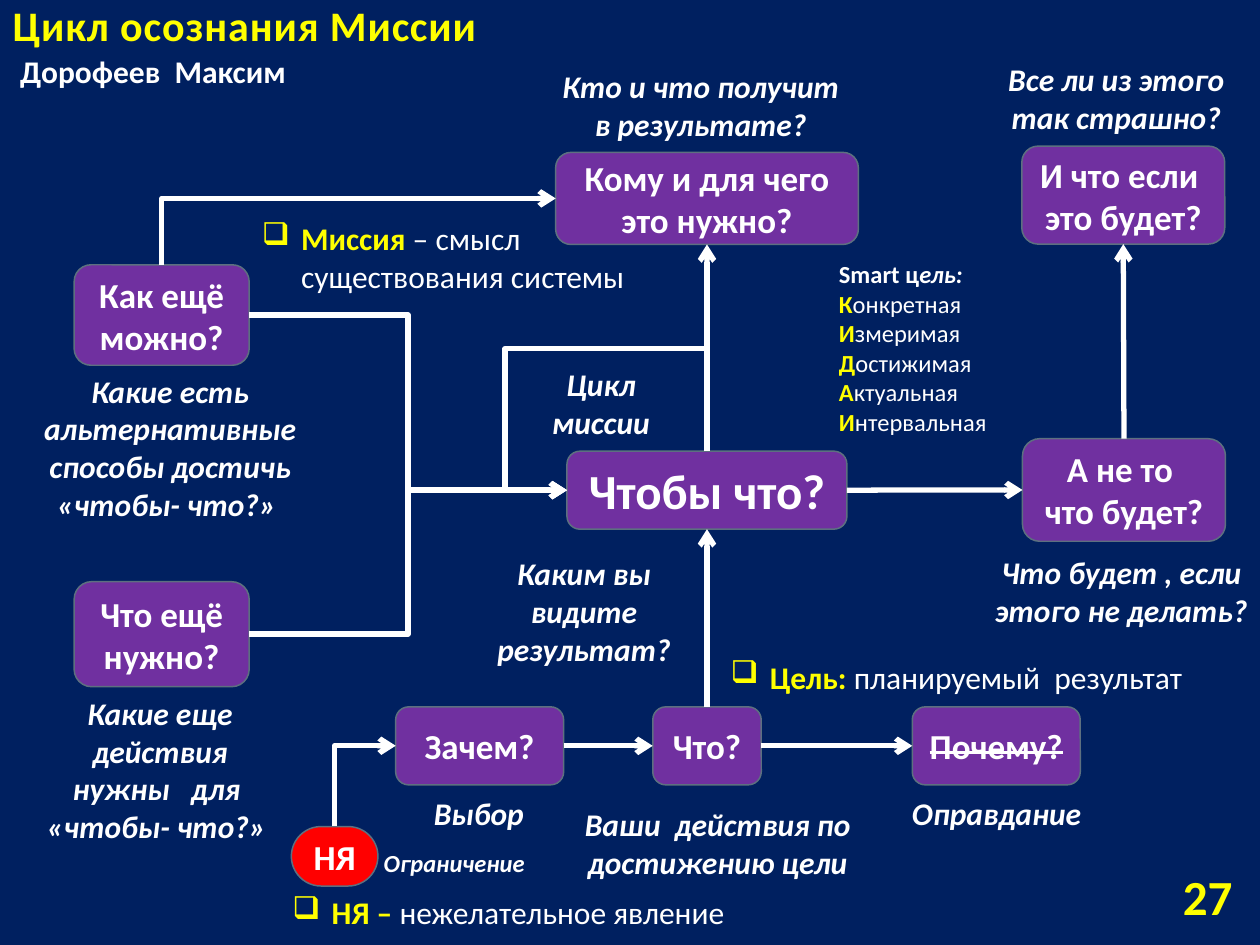
import pptx
import pptx.dml.color
import pptx.enum.shapes
import pptx.enum.text
import pptx.oxml
import pptx.oxml.ns
import pptx.util

Pt = pptx.util.Pt
ALIGN = pptx.enum.text.PP_ALIGN
ANCHOR = pptx.enum.text.MSO_ANCHOR
AUTO_SIZE = pptx.enum.text.MSO_AUTO_SIZE
CONNECTOR = pptx.enum.shapes.MSO_CONNECTOR
TOP, LEFT, BOTTOM, RIGHT = range(4)

FONT = "Calibri"
COLORS = {"background": "002060", "box": "7030A0", "alert": "FF0000",
          "outline": "5D7080", "text": "FFFFFF", "accent": "FFFF00"}

# Question boxes: text, left, top, width, height
BOXES = {
    "so_that": ("Чтобы что?", 324, 257.8, 160, 44.6),
    "for_whom": ("Кому и для чего это нужно?", 317.5, 87.1, 173, 52.6),
    "how_else": ("Как ещё можно?", 42.4, 151.3, 100, 57.4),
    "what_else": ("Что ещё нужно?", 42.4, 332.4, 100, 60),
    "otherwise": ("А не то \vчто будет?", 584.3, 250.7, 116, 58.6),
    "what_if": ("И что если  это будет?", 583.9, 83.5, 116, 56),
    "what": ("Что?", 373, 403.9, 62, 44.6),
    "why": ("Зачем?", 226.1, 403.9, 96, 44.6),
    "reason": ("Почему?", 521.3, 403.9, 96, 44.6),
    "problem": ("НЯ", 166.5, 472.3, 49.5, 34),
}

# Italic hints: text, left, top, width, height
HINTS = [
    ("Что будет , если этого не делать?", 554.4, 312.5, 172.8, 51),
    ("Какие еще действия нужны   для  «чтобы- что?» ", 18, 393, 147, 94.5),
    ("Какие есть альтернативные способы достичь «чтобы- что?» ", 8, 208.8, 178.5, 94.5),
    ("Каким вы видите результат?", 276.5, 313.2, 114.5, 72.7),
    ("Ваши  действия по достижению цели", 308.2, 456.5, 203.8, 51),
    ("Кто и что получит в результате?", 309, 34.6, 183, 51),
    ("Все ли из этого так страшно?", 551.5, 31, 172.8, 51),
    ("Цикл миссии", 292.3, 205.2, 102.2, 51),
    ("Выбор", 222.5, 450, 102.2, 29),
    ("Оправдание", 512.6, 450, 113.8, 29),
]

# Definitions: term, meaning, left, top, width, height, wrap
DEFINITIONS = [
    ("Цель: ", "планируемый  результат", 410.4, 372.2, 275.8, 29, False),
    ("Миссия", " – смысл существования системы", 142.5, 121.7, 275, 51, True),
    ("НЯ – ", "нежелательное явление", 160, 507, 264.2, 29, False),
]

SMART_WORDS = ["Конкретная  ", "Измеримая  ", "Достижимая ", "Актуальная  ", "Интервальная"]

# Straight arrows: from box, side, to box, side
ARROWS = [
    ("what", TOP, "so_that", BOTTOM),
    ("so_that", TOP, "for_whom", BOTTOM),
    ("so_that", RIGHT, "otherwise", LEFT),
    ("otherwise", TOP, "what_if", BOTTOM),
    ("why", RIGHT, "what", LEFT),
    ("what", RIGHT, "reason", LEFT),
]


def rgb(name):
    return pptx.dml.color.RGBColor.from_string(COLORS[name])


def add_run(paragraph, text, size=18, color="text", bold=True, italic=False):
    run = paragraph.add_run()
    run.text = text
    font = run.font
    font.name, font.size, font.bold, font.italic = FONT, Pt(size), bold, italic
    font.color.rgb = rgb(color)
    return run


def write_text(shape, paragraphs, align=ALIGN.LEFT, anchor=ANCHOR.TOP, wrap=True, **run_format):
    """Fill a shape; each paragraph is a list of (text, format overrides)."""
    if isinstance(paragraphs, str):
        paragraphs = [[(paragraphs, {})]]
    frame = shape.text_frame
    frame.word_wrap, frame.vertical_anchor = wrap, anchor
    for index, runs in enumerate(paragraphs):
        paragraph = frame.paragraphs[0] if index == 0 else frame.add_paragraph()
        paragraph.alignment = align
        for text, overrides in runs:
            for part, piece in enumerate(text.split("\v")):
                if part:
                    paragraph.add_line_break()
                add_run(paragraph, piece, **{**run_format, **overrides})


def add_text(slide, paragraphs, left, top, width, height, **text_format):
    box = slide.shapes.add_textbox(Pt(left), Pt(top), Pt(width), Pt(height))
    write_text(box, paragraphs, **text_format)
    box.text_frame.auto_size = AUTO_SIZE.SHAPE_TO_FIT_TEXT
    return box


def add_definition(slide, term, meaning, left, top, width, height, wrap):
    runs = [(term, {"color": "accent"}), (meaning, {"bold": False})]
    box = add_text(slide, [runs], left, top, width, height, wrap=wrap)
    properties = box.text_frame.paragraphs[0]._p.get_or_add_pPr()
    properties.set("marL", str(Pt(22.5)))
    properties.set("indent", str(-Pt(22.5)))
    bullet = pptx.oxml.parse_xml(f'<a:buChar {pptx.oxml.ns.nsdecls("a")} char="❑"/>')
    properties.append(bullet)


def add_box(slide, text, left, top, width, height, size=20, fill="box"):
    shape = slide.shapes.add_shape(pptx.enum.shapes.MSO_SHAPE.ROUNDED_RECTANGLE,
                                   Pt(left), Pt(top), Pt(width), Pt(height))
    shape.shadow.inherit = False
    shape.fill.solid()
    shape.fill.fore_color.rgb = rgb(fill)
    shape.line.color.rgb = rgb("outline")
    shape.line.width = Pt(0.85)
    write_text(shape, text, align=ALIGN.CENTER, anchor=ANCHOR.MIDDLE, size=size)
    return shape


def add_arrow(slide, start, start_side, end, end_side, kind=CONNECTOR.STRAIGHT):
    connector = slide.shapes.add_connector(kind, 0, 0, 0, 0)
    connector.begin_connect(start, start_side)
    connector.end_connect(end, end_side)
    connector.line.color.rgb = rgb("text")
    connector.line.width = Pt(3)
    namespace = pptx.oxml.ns.nsdecls("a")
    line = connector.line._get_or_add_ln()
    line.append(pptx.oxml.parse_xml(f'<a:tailEnd {namespace} type="arrow"/>'))
    connector._element.spPr.append(pptx.oxml.parse_xml(f"<a:effectLst {namespace}/>"))
    return connector


def turn_elbow(connector, preset, rotation, adjustments=()):
    """Give an elbow another preset, turned by a quarter and flipped both ways."""
    center_x = connector.left + connector.width // 2
    center_y = connector.top + connector.height // 2
    width, height = connector.height, connector.width
    connector.left, connector.top = center_x - width // 2, center_y - height // 2
    connector.width, connector.height = width, height
    properties = connector._element.spPr
    for name, value in (("rot", rotation * 60000), ("flipH", 1), ("flipV", 1)):
        properties.xfrm.set(name, str(value))
    geometry = properties.find(pptx.oxml.ns.qn("a:prstGeom"))
    geometry.set("prst", preset)
    guides = geometry.find(pptx.oxml.ns.qn("a:avLst"))
    for number, value in enumerate(adjustments, 1):
        guides.append(pptx.oxml.parse_xml(
            f'<a:gd {pptx.oxml.ns.nsdecls("a")} name="adj{number}" fmla="val {value}"/>'))


def main():
    presentation = pptx.Presentation()
    presentation.slide_width, presentation.slide_height = Pt(720), Pt(540)
    slide = presentation.slides.add_slide(presentation.slide_layouts[5])
    slide.background.fill.solid()
    slide.background.fill.fore_color.rgb = rgb("background")

    # Title, author and page number
    title = slide.shapes.title
    title.left, title.top, title.width, title.height = Pt(0), Pt(-0.7), Pt(348.5), Pt(33)
    write_text(title, "Цикл осознания Миссии", anchor=ANCHOR.BOTTOM, size=24, color="accent")
    title.text_frame.paragraphs[0].runs[0].font._element.set("spc", "50")
    add_text(slide, "Дорофеев  Максим", 0, 26, 170.6, 29, align=ALIGN.RIGHT)
    number = add_text(slide, "27", 626.4, 497.5, 85, 29, align=ALIGN.RIGHT,
                      anchor=ANCHOR.MIDDLE, size=28, color="accent")
    number.text_frame.auto_size = AUTO_SIZE.NONE

    # Boxes
    styles = {"so_that": {"size": 28}, "problem": {"fill": "alert"}}
    boxes = {name: add_box(slide, *box, **styles.get(name, {})) for name, box in BOXES.items()}
    boxes["problem"].adjustments[0] = 0.5
    boxes["reason"].text_frame.paragraphs[0].runs[0].font._element.set("strike", "sngStrike")

    # Arrows
    for start, start_side, end, end_side in ARROWS:
        add_arrow(slide, boxes[start], start_side, boxes[end], end_side)
    for name in ("how_else", "what_else"):
        add_arrow(slide, boxes[name], RIGHT, boxes["so_that"], LEFT, CONNECTOR.ELBOW)
    for start, end in (("how_else", "for_whom"), ("problem", "why")):
        corner = add_arrow(slide, boxes[start], TOP, boxes[end], LEFT, CONNECTOR.ELBOW)
        turn_elbow(corner, "bentConnector2", 90)
    loop = add_arrow(slide, boxes["so_that"], TOP, boxes["so_that"], LEFT, CONNECTOR.ELBOW)
    turn_elbow(loop, "bentConnector4", 270, (-262300, 144300))

    # Hints and definitions
    for hint in HINTS:
        add_text(slide, *hint, align=ALIGN.CENTER, italic=True)
    add_text(slide, "Ограничение", 211, 481, 97.2, 24.5, align=ALIGN.CENTER, size=14, italic=True)
    for definition in DEFINITIONS:
        add_definition(slide, *definition)

    # Smart goal
    words = [run for word in SMART_WORDS
             for run in ((word[0], {"color": "accent"}), (word[1:], {"bold": False}))]
    heading = [("Smart ц", {}), ("ель:", {"italic": True})]
    add_text(slide, [heading, words], 472.3, 144.7, 122.4, 108.7, size=14)

    presentation.save("out.pptx")


if __name__ == "__main__":
    main()
